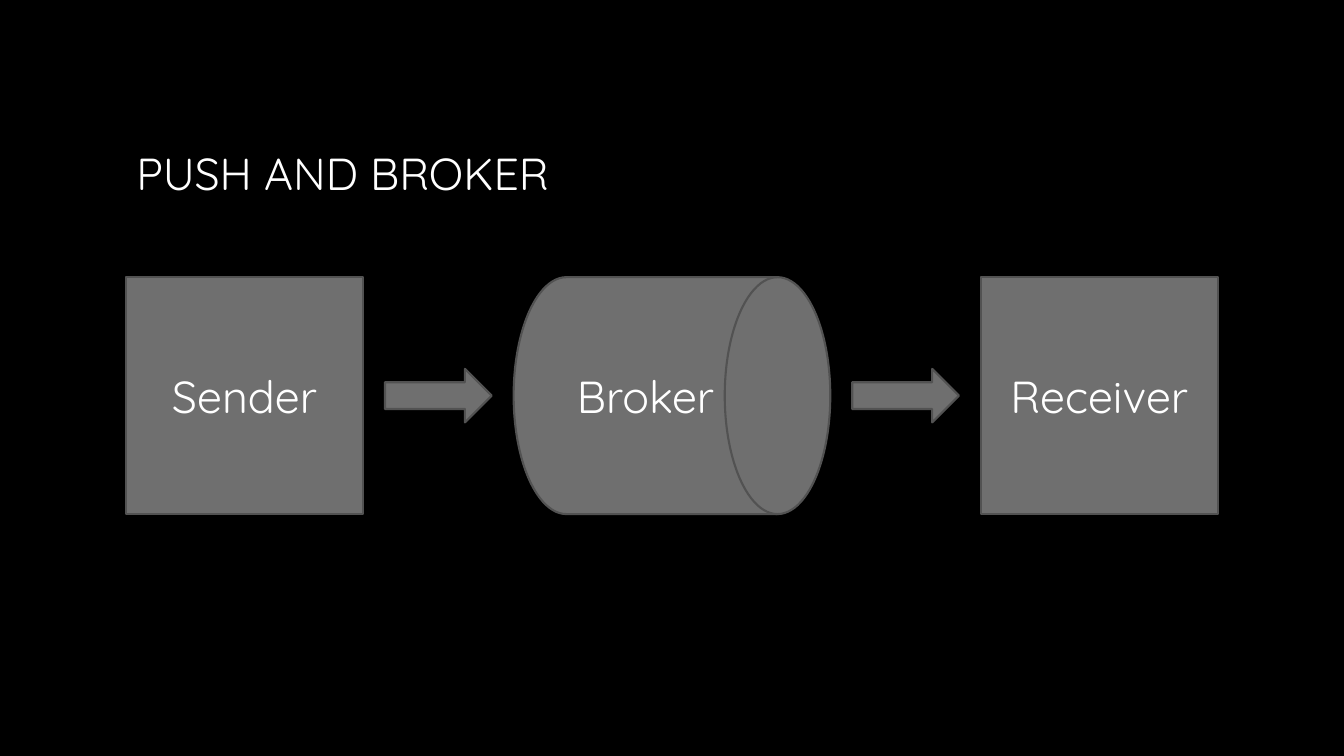
"""Build the push-and-broker message flow slide."""
from pptx import Presentation
from pptx.dml.color import RGBColor
from pptx.enum.shapes import MSO_SHAPE as SHAPE
from pptx.enum.text import MSO_ANCHOR as ANCHOR, MSO_AUTO_SIZE as AUTO, PP_ALIGN as ALIGN
from pptx.util import Cm, Pt

TITLE = "PUSH AND BROKER"
SQUARE = (5.97, 5.97)
DRUM = (7.98, 5.97)
ARROW = (2.69, 1.35)
FLOW = [
    (SHAPE.RECTANGLE, SQUARE, "Sender"),
    (SHAPE.RIGHT_ARROW, ARROW, ""),
    (SHAPE.FLOWCHART_DIRECT_ACCESS_STORAGE, DRUM, "Broker"),
    (SHAPE.RIGHT_ARROW, ARROW, ""),
    (SHAPE.RECTANGLE, SQUARE, "Receiver"),
]

BLACK = RGBColor(0x00, 0x00, 0x00)
WHITE = RGBColor(0xFF, 0xFF, 0xFF)
SILVER = RGBColor(0xA6, 0xA6, 0xA6)
GRAY = RGBColor(0x6F, 0x6F, 0x6F)
OUTLINE = RGBColor(0x52, 0x52, 0x52)
FONT = "Quicksand"
LEFT, WIDTH = 3.18, 27.51
TITLE_TOP, TITLE_HEIGHT = 1.7, 5.28
MIDDLE = 9.97


def set_text(shape, text, align):
    tf = shape.text_frame
    tf.text = text
    tf.word_wrap = True
    tf.auto_size = AUTO.NONE
    tf.vertical_anchor = ANCHOR.MIDDLE
    p = tf.paragraphs[0]
    p.alignment = align
    font = p.runs[0].font
    font.name, font.size = FONT, Pt(32)
    return font


def add_title(s):
    title = s.shapes.title
    title.left, title.top = Cm(LEFT), Cm(TITLE_TOP)
    title.width, title.height = Cm(WIDTH), Cm(TITLE_HEIGHT)
    fill = set_text(title, TITLE, ALIGN.LEFT).fill
    fill.gradient()
    fill.gradient_angle = 267
    for stop, color in zip(fill.gradient_stops, (WHITE, SILVER)):
        stop.color.rgb = color


def add_flow(s):
    gap = (WIDTH - sum(size[0] for _, size, _ in FLOW)) / (len(FLOW) - 1)
    x = LEFT
    for kind, (w, h), label in FLOW:
        sp = s.shapes.add_shape(kind, Cm(x), Cm(MIDDLE - h / 2), Cm(w), Cm(h))
        sp.shadow.inherit = False
        sp.fill.solid()
        sp.fill.fore_color.rgb = GRAY
        sp.line.color.rgb = OUTLINE
        sp.line.width = Pt(1.5)
        if label:
            set_text(sp, label, ALIGN.CENTER).color.rgb = WHITE
        x += w + gap


def main():
    prs = Presentation()
    prs.slide_width, prs.slide_height = Cm(33.87), Cm(19.05)
    s = prs.slides.add_slide(prs.slide_layouts[5])
    s.background.fill.solid()
    s.background.fill.fore_color.rgb = BLACK
    add_title(s)
    add_flow(s)
    prs.save("out.pptx")


if __name__ == "__main__":
    main()
